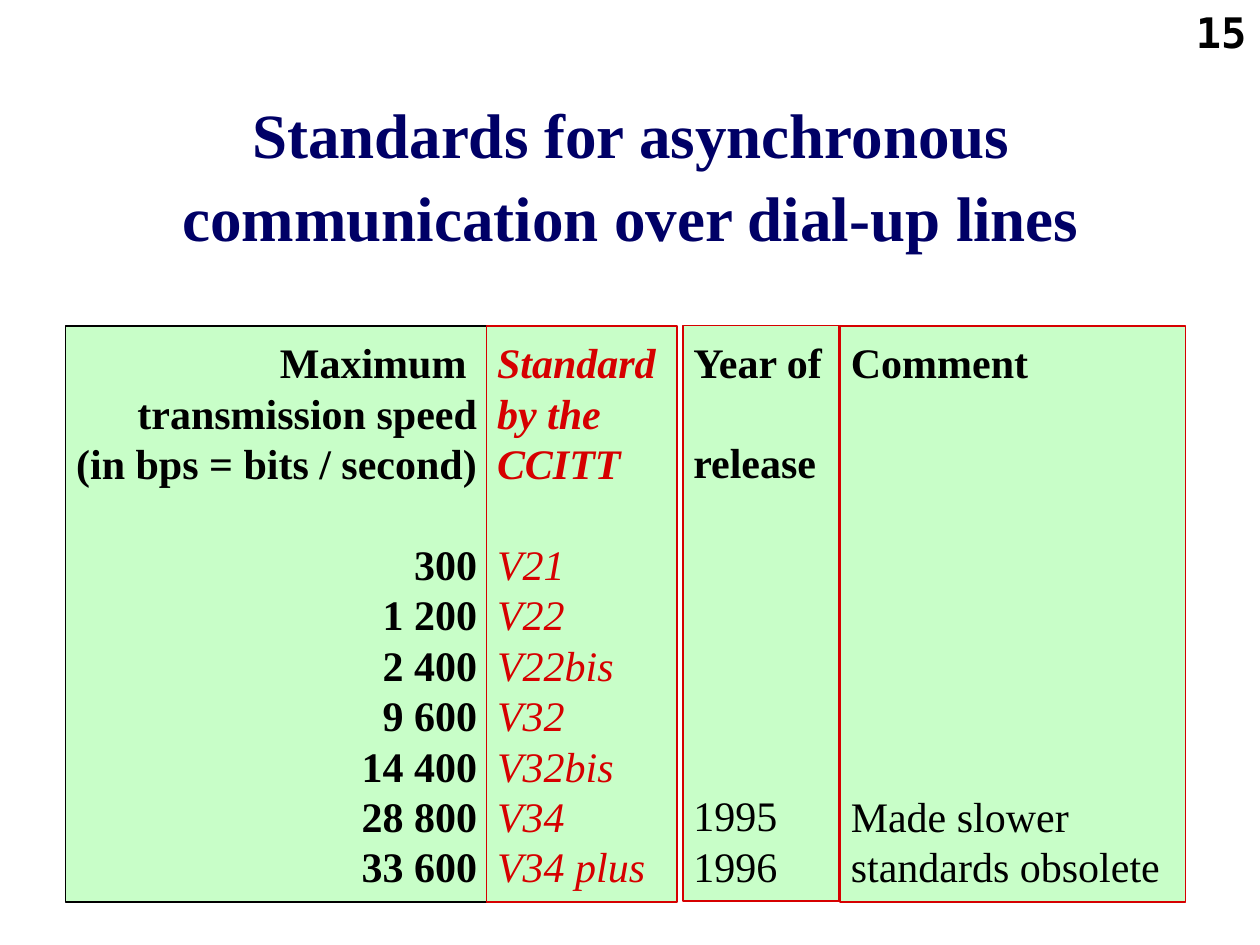
from typing import NamedTuple

from pptx import Presentation
from pptx.dml.color import RGBColor
from pptx.enum.shapes import MSO_SHAPE as Shape
from pptx.enum.text import MSO_ANCHOR as Anchor, PP_ALIGN as Align
from pptx.util import Pt

NAVY = RGBColor(0x00, 0x00, 0x66)
BLACK = RGBColor(0x00, 0x00, 0x00)
RED = RGBColor(0xD6, 0x00, 0x00)
PALE_GREEN = RGBColor(0xC8, 0xFE, 0xC8)
SERIF = "Times New Roman"
MONO = "DejaVu Sans Mono"
LINE_PITCH = 28.8
INSET = 6


class Entry(NamedTuple):
    text: str
    bold: bool = False
    skipped_lines: int = 0


class Column(NamedTuple):
    left: float
    top: float
    width: float
    entries: list[Entry]
    line: RGBColor = RED
    color: RGBColor = BLACK
    italic: bool = False
    align: Align = Align.LEFT
    wrap: bool = True


class Label(NamedTuple):
    text: str
    box: tuple[float, float, float, float]
    align: Align
    font: dict
    spacing: dict
    inset: float


SPEEDS = ["1 200", "2 400", "9 600", "14 400", "28 800", "33 600"]
STANDARDS = ["V22", "V22bis", "V32", "V32bis", "V34", "V34 plus"]
COLUMN_HEIGHT = 329
COLUMNS = [
    Column(37.4, 186.5, 241.2, [
        Entry("Maximum \ntransmission speed", True),
        Entry("(in bps = bits / second)", True),
        Entry("300", True, 1),
        *(Entry(speed, True) for speed in SPEEDS),
    ], line=BLACK, align=Align.RIGHT, wrap=False),
    Column(278, 186.5, 108.7, [
        Entry("Standard\nby the\nCCITT", True),
        Entry("V21", skipped_lines=1),
        *(Entry(standard) for standard in STANDARDS),
    ], color=RED, italic=True),
    Column(480.2, 186.5, 197.3, [
        Entry("Comment", True),
        Entry("Made slower\nstandards obsolete", skipped_lines=8),
    ]),
    Column(390.2, 186, 89.3, [
        Entry("Year of", True),
        Entry("release", True, 1),
        Entry("1995", skipped_lines=6),
        Entry("1996"),
    ]),
]
LABELS = [
    Label("Standards for asynchronous communication over dial-up lines",
          (56.9, 43.9, 607, 107.3), Align.CENTER,
          {"size": Pt(36), "name": SERIF, "bold": True},
          {"line_spacing": 1.1, "space_before": Pt(4.5), "space_after": Pt(4.5)}, INSET),
    Label("15", (569.5, 0, 149.8, 36), Align.RIGHT,
          {"size": Pt(24), "name": MONO, "bold": True}, {}, 7.2),
]
LABEL_COLORS = [NAVY, BLACK]


def set_values(target, values: dict) -> None:
    for name, value in values.items():
        setattr(target, name, value)


def write(paragraph, text: str, font: dict, color: RGBColor, layout: dict) -> None:
    paragraph.text = text
    set_values(paragraph, layout)
    for run in paragraph.runs:
        set_values(run.font, font)
        run.font.color.rgb = color


def prepare_frame(frame, inset: float, anchor: Anchor, wrap: bool) -> None:
    margins = {f"margin_{side}": Pt(inset) for side in ("left", "top", "right", "bottom")}
    set_values(frame, margins | {"vertical_anchor": anchor, "word_wrap": wrap})


def draw_label(slide, label: Label, color: RGBColor) -> None:
    frame = slide.shapes.add_textbox(*map(Pt, label.box)).text_frame
    prepare_frame(frame, label.inset, Anchor.MIDDLE, True)
    write(frame.paragraphs[0], label.text, label.font, color,
          {"alignment": label.align} | label.spacing)


def draw_column(slide, column: Column) -> None:
    box = (column.left, column.top, column.width, COLUMN_HEIGHT)
    shape = slide.shapes.add_shape(Shape.RECTANGLE, *map(Pt, box))
    shape.shadow.inherit = False
    shape.fill.solid()
    shape.fill.fore_color.rgb = PALE_GREEN
    shape.line.color.rgb = column.line
    shape.line.width = Pt(1)
    frame = shape.text_frame
    prepare_frame(frame, INSET, Anchor.TOP, column.wrap)
    for index, entry in enumerate(column.entries):
        paragraph = frame.add_paragraph() if index else frame.paragraphs[0]
        font = {"size": Pt(24), "name": SERIF, "bold": entry.bold, "italic": column.italic}
        layout = {"alignment": column.align, "line_spacing": Pt(LINE_PITCH),
                  "space_before": Pt(entry.skipped_lines * LINE_PITCH)}
        write(paragraph, entry.text, font, column.color, layout)


def main() -> None:
    """Build the slide on standards for dial-up communication."""
    presentation = Presentation()
    set_values(presentation, {"slide_width": Pt(720), "slide_height": Pt(540)})
    slide = presentation.slides.add_slide(presentation.slide_layouts[6])
    for column in COLUMNS:
        draw_column(slide, column)
    for label, color in zip(LABELS, LABEL_COLORS):
        draw_label(slide, label, color)
    presentation.save("out.pptx")


if __name__ == "__main__":
    main()
